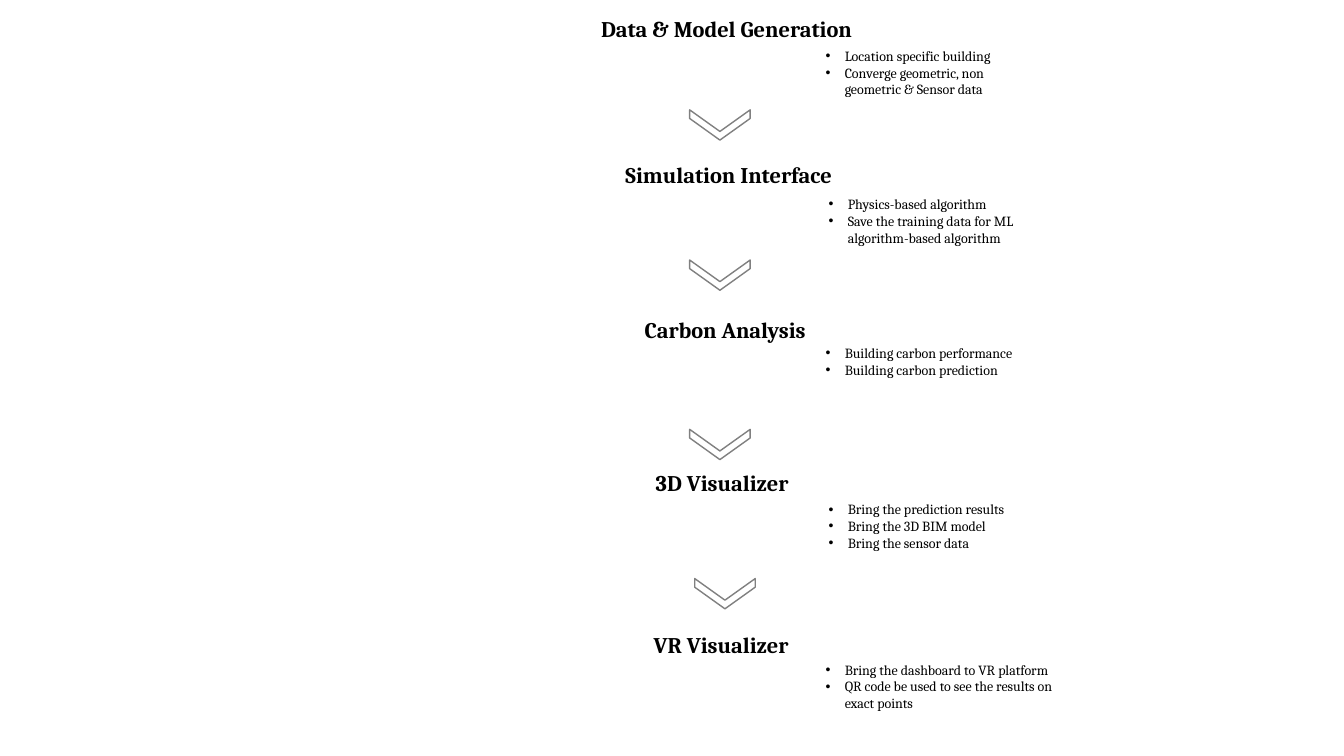
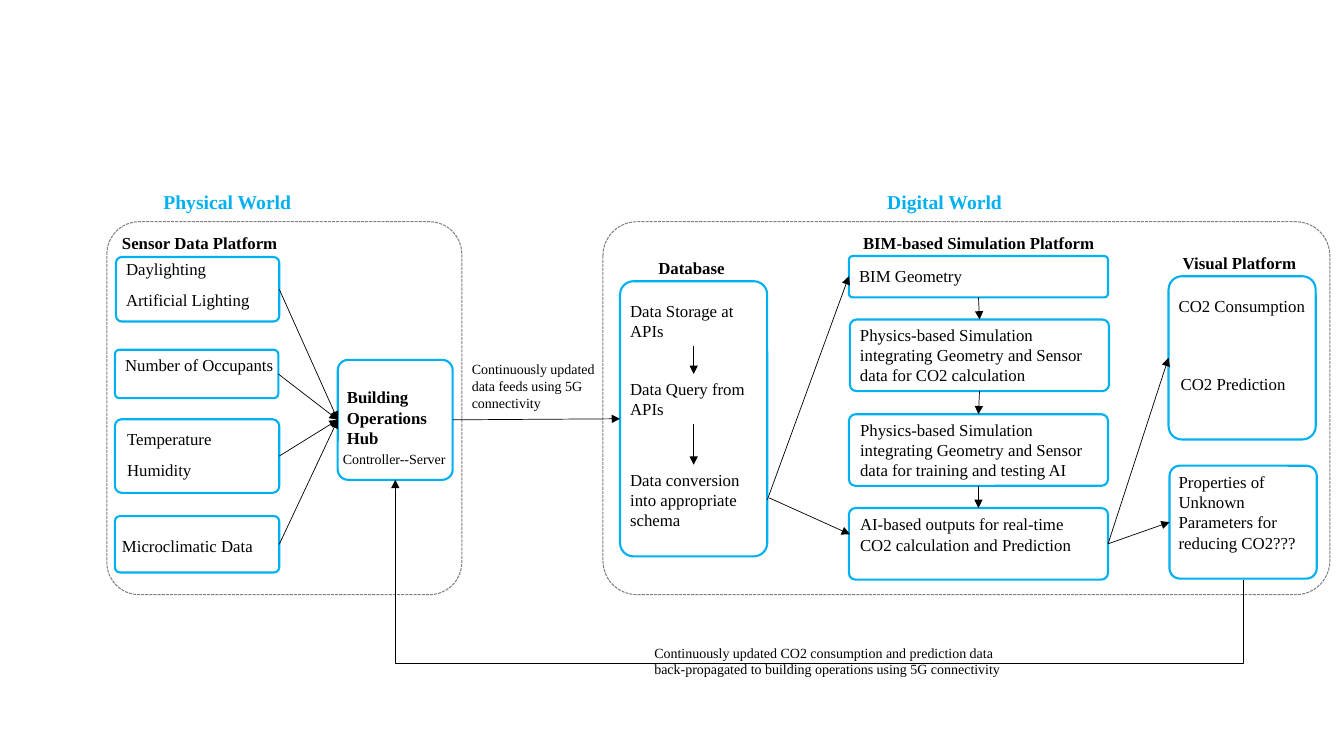
from lxml import etree
from pptx import Presentation
from pptx.dml.color import RGBColor
from pptx.enum.dml import MSO_LINE
from pptx.enum.shapes import MSO_CONNECTOR, MSO_SHAPE
from pptx.enum.text import MSO_ANCHOR, PP_ALIGN
from pptx.oxml.ns import qn
from pptx.util import Emu, Pt

CHEVRON, ROUNDED = MSO_SHAPE.CHEVRON, MSO_SHAPE.ROUNDED_RECTANGLE
STRAIGHT, ELBOW = MSO_CONNECTOR.STRAIGHT, MSO_CONNECTOR.ELBOW
DASH = MSO_LINE.SQUARE_DOT
LEFT, RIGHT, TOP = PP_ALIGN.LEFT, PP_ALIGN.RIGHT, MSO_ANCHOR.TOP
SITE_TOP, SITE_LEFT, SITE_BOTTOM, SITE_RIGHT = range(4)

PX = 9144  # one px is a hundredth of an inch
SLIDE_W, SLIDE_H = 1333, 750
ONE_LINE_W = 260  # room for the longest one-line label
COLORS = {"text": "000000", "accent": "00B0F0", "outline": "808080"}
SERIF, TIMES = "Cambria", "Times New Roman"
CORNER = 0.091
CORNER_INSET = CORNER * 0.29  # share of the short side a rounded corner takes from the text

# Slide 1: heading, its place (x, y, w), bullets, their place, chevron (x, y)
STAGES = [
    ("Data & Model Generation", (576, 10, 279),
     ["Location specific building", "Converge geometric, non geometric & Sensor data"],
     (809, 42, 217), (699, 94)),
    ("Simulation Interface", (604, 155, 231),
     ["Physics-based algorithm", "Save the training data for ML algorithm-based algorithm"],
     (812, 189, 217), (699, 243)),
    ("Carbon Analysis", (623, 309, 186),
     ["Building carbon performance", "Building carbon prediction"],
     (809, 337, 205), (699, 411)),
    ("3D Visualizer", (634, 461, 158),
     ["Bring the prediction results", "Bring the 3D BIM model", "Bring the sensor data"],
     (812, 492, 205), (704, 559)),
    ("VR Visualizer", (634, 621, 158),
     ["Bring the dashboard to VR platform",
      "QR code be used to see the results on exact points"],
     (809, 651, 257), None),
]

# Slide 2: dashed frames and their titles
WORLDS = [("Physical World", (162, 188), (106, 220, 352, 370)),
          ("Digital World", (880, 188), (598, 220, 721, 370))]

# Box: place, paragraphs, text offset (left, top, right), bold
BOXES = {
    "lighting": ((115, 255, 162, 64), ["Daylighting", "Artificial Lighting"], (10, 1, 0), False),
    "occupants": ((114, 347, 162, 48), ["Number of Occupants"], (10, 5, 0), False),
    "climate": ((114, 416, 163, 73), ["Temperature", "Humidity"], (12, 9, 0), False),
    "microclimate": ((114, 512, 163, 56), ["Microclimatic Data"], (7, 20, 0), False),
    "hub": ((335, 357, 114, 119), ["Building Operations Hub"], (9, 27, 10), True),
    "database": ((615, 279, 146, 273), [], (10, 5, 10), False),
    "geometry": ((842, 254, 257, 41), ["BIM Geometry"], (10, 10, 10), False),
    "physics": ((843, 317, 257, 71),
                ["Physics-based Simulation integrating Geometry and Sensor data for CO2 calculation"],
                (10, 5, 12), False),
    "training": ((842, 411, 257, 71),
                 ["Physics-based Simulation integrating Geometry and Sensor data for training "
                  "and testing AI"], (11, 5, 9), False),
    "prediction": ((842, 504, 257, 71),
                   ["AI-based outputs for real-time CO2 calculation and Prediction"],
                   (11, 6, 9), False),
    "visual": ((1159, 274, 146, 162), [], (10, 5, 10), False),
    "unknown": ((1160, 462, 146, 112),
                ["Properties of Unknown Parameters for reducing CO2???"], (9, 6, 11), False),
}

# Label: text, x, y, wrap width (0 for one line), size, bold
LABELS = [
    ("Sensor Data Platform", 121, 231, 0, 12, True),
    ("Database", 653, 256, 0, 12, True),
    ("BIM-based Simulation Platform", 856, 231, 0, 12, True),
    ("Visual Platform", 1173, 251, 0, 12, True),
    ("Data Storage at APIs", 625, 298, 126, 12, False),
    ("Data Query from APIs", 625, 376, 126, 12, False),
    ("Data conversion into appropriate schema", 625, 466, 126, 12, False),
    ("CO2 Consumption", 1169, 293, 0, 12, False),
    ("CO2 Prediction", 1171, 371, 0, 12, False),
    ("Controller--Server", 340, 447, 0, 10, False),
    ("Continuously updated data feeds using 5G connectivity", 468, 358, 126, 10, False),
    ("Continuously updated CO2 consumption and prediction data back-propagated to "
     "building operations using 5G connectivity", 649, 639, 367, 10, False),
]

# Arrows between boxes, left to right or downwards
ACROSS = [("lighting", "hub"), ("occupants", "hub"), ("climate", "hub"),
          ("microclimate", "hub"), ("hub", "database"),
          ("prediction", "visual"), ("prediction", "unknown")]
DOWN = [("geometry", "physics"), ("physics", "training"), ("training", "prediction")]
FREE_ARROWS = [(688, 343, 688, 371), (688, 421, 688, 461),
               (761, 496, 842, 274), (763, 494, 843, 530)]

# Feedback path: hub bottom, lowest level, box bottom
FEEDBACK_END, FEEDBACK_LEVEL, FEEDBACK_START = (392, 476), 658, (1233, 575)


def px(*lengths):
    return [Emu(round(length * PX)) for length in lengths]


def color(name):
    return RGBColor.from_string(COLORS[name])


def add_text(paragraph, text, font, size, bold=False, tone="text"):
    run = paragraph.add_run()
    run.text = text
    run.font.name, run.font.size, run.font.bold = font, Pt(size), bold
    run.font.color.rgb = color(tone)


def set_margins(frame, left, top, right, bottom=0):
    (frame.margin_left, frame.margin_top,
     frame.margin_right, frame.margin_bottom) = px(left, top, right, bottom)


def add_label(slide, text, x, y, width, size, bold, tone="text"):
    box_width = width or min(ONE_LINE_W, SLIDE_W - x)
    frame = slide.shapes.add_textbox(*px(x, y, box_width, 28)).text_frame
    frame.word_wrap = width > 0
    set_margins(frame, 0, 0, 0)
    add_text(frame.paragraphs[0], text, TIMES, size, bold, tone)


def add_outline(slide, preset, place, adjustment, tone, width):
    shape = slide.shapes.add_shape(preset, *px(*place))
    shape.adjustments[0] = adjustment
    shape.shadow.inherit = False
    shape.fill.background()
    shape.line.color.rgb = color(tone)
    shape.line.width = Pt(width)
    return shape


def add_box(slide, place, paragraphs, offset, bold):
    box = add_outline(slide, ROUNDED, place, CORNER, "accent", 1.5)
    frame = box.text_frame
    frame.word_wrap, frame.vertical_anchor = True, TOP
    inset = CORNER_INSET * min(place[2:])
    set_margins(frame, *[max(0, gap - inset) for gap in offset])
    for i, text in enumerate(paragraphs):
        paragraph = frame.add_paragraph() if i else frame.paragraphs[0]
        paragraph.alignment = LEFT
        paragraph.space_after = Pt(8)
        add_text(paragraph, text, TIMES, 12, bold)
    return box


def add_arrow(slide, ends, kind=STRAIGHT, arrowhead="a:tailEnd"):
    arrow = slide.shapes.add_connector(kind, *px(*ends))
    arrow.line.color.rgb = color("text")
    arrow.line.width = Pt(0.5)
    etree.SubElement(arrow.line._get_or_add_ln(), qn(arrowhead), type="triangle")
    etree.SubElement(arrow._element.spPr, qn("a:effectLst"))
    return arrow


def join(slide, source, source_site, target, target_site):
    arrow = add_arrow(slide, (0, 0, 1, 1))
    arrow.begin_connect(source, source_site)
    arrow.end_connect(target, target_site)


def add_feedback(slide):
    """Elbow that leaves and enters from below: a turned connector around one centre."""
    (x1, y1), (x2, y2) = FEEDBACK_END, FEEDBACK_START
    mid_x, mid_y = (x1 + x2) / 2, (y1 + y2) / 2
    half_w, half_h = (y2 - y1) / 2, (x2 - x1) / 2
    ends = (mid_x + half_w, mid_y - half_h, mid_x - half_w, mid_y + half_h)
    elbow = add_arrow(slide, ends, ELBOW, "a:headEnd")
    properties = elbow._element.spPr
    properties.find(qn("a:xfrm")).set("rot", str(270 * 60000))
    geometry = properties.find(qn("a:prstGeom"))
    guides = geometry.find(qn("a:avLst"))
    if guides is None:
        guides = etree.SubElement(geometry, qn("a:avLst"))
    bend = round((FEEDBACK_LEVEL - y1) / (y2 - y1) * 100000)
    etree.SubElement(guides, qn("a:gd"), name="adj1", fmla=f"val {bend}")


def add_bullets(slide, items, place):
    x, y, width = place
    frame = slide.shapes.add_textbox(*px(x, y, width, 61)).text_frame
    frame.word_wrap = True
    for i, item in enumerate(items):
        paragraph = frame.add_paragraph() if i else frame.paragraphs[0]
        settings = paragraph._p.get_or_add_pPr()
        settings.set("marL", str(19 * PX))
        settings.set("indent", str(-19 * PX))
        etree.SubElement(settings, qn("a:buFont"), typeface="Arial")
        etree.SubElement(settings, qn("a:buChar"), char="•")
        add_text(paragraph, item, SERIF, 10)


def build_stages(slide):
    for heading, (x, y, width), items, bullets_place, chevron_at in STAGES:
        frame = slide.shapes.add_textbox(*px(x, y, width, 37)).text_frame
        frame.word_wrap = False
        frame.paragraphs[0].alignment = RIGHT
        add_text(frame.paragraphs[0], heading, SERIF, 16, True)
        add_bullets(slide, items, bullets_place)
        if chevron_at:
            chevron = add_outline(slide, CHEVRON, (*chevron_at, 30, 60), 0.714, "outline", 1)
            chevron.rotation = 90


def build_data_flow(slide):
    # Worlds
    for title, (x, y), place in WORLDS:
        frame = add_outline(slide, ROUNDED, place, CORNER, "outline", 0.75)
        frame.line.dash_style = DASH
        add_label(slide, title, x, y, 0, 14, True, "accent")
    # Boxes and labels
    boxes = {name: add_box(slide, *content) for name, content in BOXES.items()}
    for label in LABELS:
        add_label(slide, *label)
    # Arrows
    for source, target in ACROSS:
        join(slide, boxes[source], SITE_RIGHT, boxes[target], SITE_LEFT)
    for source, target in DOWN:
        join(slide, boxes[source], SITE_BOTTOM, boxes[target], SITE_TOP)
    for ends in FREE_ARROWS:
        add_arrow(slide, ends)
    add_feedback(slide)


def main():
    deck = Presentation()
    deck.slide_width, deck.slide_height = px(SLIDE_W, SLIDE_H)
    blank = deck.slide_layouts[6]
    for build in (build_stages, build_data_flow):
        build(deck.slides.add_slide(blank))
    deck.save("out.pptx")


if __name__ == "__main__":
    main()
